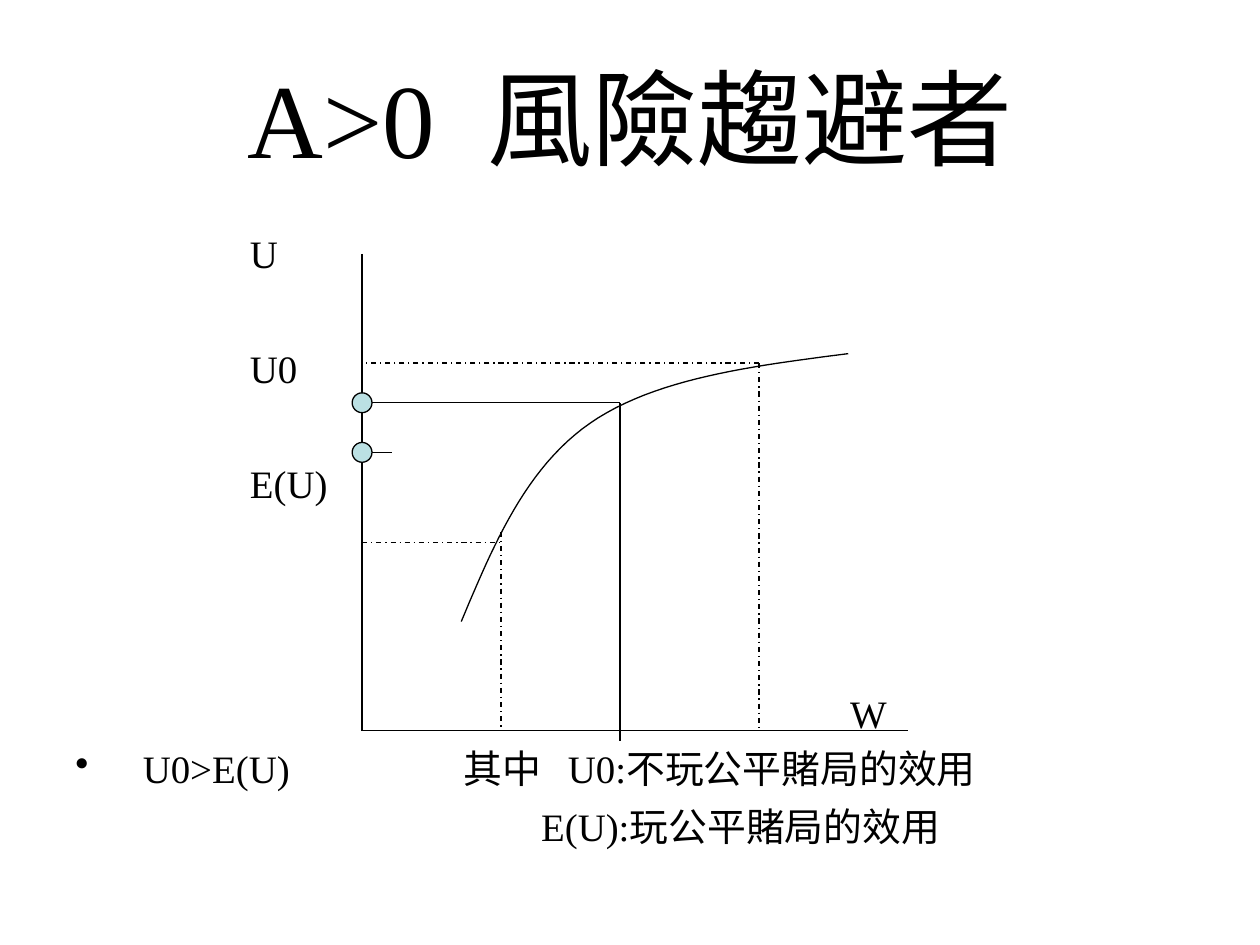
from lxml.etree import SubElement
from pptx import Presentation
from pptx.dml.color import RGBColor
from pptx.enum.dml import MSO_LINE_DASH_STYLE as Dash
from pptx.enum.shapes import MSO_CONNECTOR as Connector, MSO_SHAPE as Shape
from pptx.enum.text import MSO_ANCHOR as Anchor, PP_ALIGN as Align
from pptx.oxml.ns import qn
from pptx.util import Cm, Pt

BLACK = "000000"
DOT_FILL = "BBE0E3"
TEXT_SIZE = 22.2
AXIS_X, AXIS_Y = 7.3, 14.73
LOW_X, MEAN_X, HIGH_X = 10.1, 12.5, 15.3
LOW_Y, SURE_Y, HIGH_Y = 10.93, 8.12, 7.32
EXPECTED_Y = 9.12
DOT_SIZE = 0.4
DOT_LEFT = AXIS_X - DOT_SIZE / 2
LABEL_X, LABEL_TOP, LABEL_STEP = 5.04, 4.63, 2.32
CURVE_START = (9.3, 12.53)
CURVE_PARTS = [
    ((9.95, 10.98), (10.6, 9.43), (11.9, 8.53)),
    ((13.2, 7.63), (15.15, 7.38), (17.1, 7.13)),
]
CURVE_STEPS = 24


def colour(value):
    return RGBColor.from_string(value)


def apply_format(target, values):
    for name, value in values.items():
        setattr(target, name, value)


def format_font(para, size):
    apply_format(para.font, {"name": "Times New Roman", "size": Pt(size), "bold": False})
    para.font.color.rgb = colour(BLACK)


def format_line(line, dash=None):
    line.color.rgb = colour(BLACK)
    line.width = Pt(0.75)
    if dash:
        line.dash_style = dash


def set_title(page, text):
    title = page.shapes.title
    apply_format(title, {"left": Cm(1.27), "top": Cm(0.76), "width": Cm(22.86), "height": Cm(3.18)})
    apply_format(title.text_frame, {"text": text, "vertical_anchor": Anchor.MIDDLE, "word_wrap": True})
    para = title.text_frame.paragraphs[0]
    para.alignment = Align.CENTER
    format_font(para, 60)


def add_text_box(page, left, top, width, height):
    box = page.shapes.add_textbox(Cm(left), Cm(top), Cm(width), Cm(height))
    margins = dict.fromkeys(["margin_left", "margin_top", "margin_right", "margin_bottom"], 0)
    apply_format(box.text_frame, {"word_wrap": True, **margins})
    return box.text_frame


def add_label(page, text, left, row):
    para = add_text_box(page, left, LABEL_TOP + row * LABEL_STEP, 2.1, 0.95).paragraphs[0]
    para.text = text
    format_font(para, TEXT_SIZE)


def add_notes(page):
    frame = add_text_box(page, 1.52, 15.02, 22.3, 2.3)
    meaning = frame.paragraphs[0]
    meaning.text = "U0>E(U)\t其中\tU0:不玩公平賭局的效用"
    properties = meaning._p.get_or_add_pPr()
    apply_indent(properties, 1.36, -1.36)
    SubElement(properties, qn("a:buChar"), char="•")
    tabs = SubElement(properties, qn("a:tabLst"))
    for position in (7.83, 9.93):
        SubElement(tabs, qn("a:tab"), pos=str(Cm(position)), algn="l")
    format_font(meaning, TEXT_SIZE)

    gamble = frame.add_paragraph()
    gamble.text = "E(U):玩公平賭局的效用"
    gamble.space_before = Pt(6)
    apply_indent(gamble._p.get_or_add_pPr(), 9.39, 0)
    format_font(gamble, TEXT_SIZE)


def apply_indent(properties, margin, indent):
    properties.set("marL", str(Cm(margin)))
    properties.set("indent", str(Cm(indent)))


def add_line(page, start, end, dash=None):
    ends = [Cm(value) for value in (*start, *end)]
    line = page.shapes.add_connector(Connector.STRAIGHT, *ends)
    format_line(line.line, dash)
    SubElement(line._element.spPr, qn("a:effectLst"))


def bezier_point(points, t):
    weights = ((1 - t) ** 3, 3 * t * (1 - t) ** 2, 3 * t**2 * (1 - t), t**3)
    return tuple(Cm(sum(w * p[axis] for w, p in zip(weights, points))) for axis in (0, 1))


def add_utility_curve(page):
    start, vertices = CURVE_START, []
    for part in CURVE_PARTS:
        points = (start, *part)
        vertices += [bezier_point(points, step / CURVE_STEPS) for step in range(1, CURVE_STEPS + 1)]
        start = part[-1]
    builder = page.shapes.build_freeform(*(Cm(value) for value in CURVE_START))
    builder.add_line_segments(vertices, close=False)
    curve = builder.convert_to_shape()
    curve.shadow.inherit = False
    curve.fill.background()
    format_line(curve.line)


def add_dot(page, middle):
    dot = page.shapes.add_shape(
        Shape.OVAL, Cm(DOT_LEFT), Cm(middle - DOT_SIZE / 2), Cm(DOT_SIZE), Cm(DOT_SIZE)
    )
    dot.shadow.inherit = False
    dot.fill.solid()
    dot.fill.fore_color.rgb = colour(DOT_FILL)
    format_line(dot.line)


def main():
    deck = Presentation()
    apply_format(deck, {"slide_width": Cm(25.4), "slide_height": Cm(19.05)})
    page = deck.slides.add_slide(deck.slide_layouts[5])
    set_title(page, "A>0  風險趨避者")
    for row, text in enumerate(["U", "U0", "E(U)"]):
        add_label(page, text, LABEL_X, row)
    add_label(page, "W", 17.14, 4)
    add_notes(page)

    add_line(page, (AXIS_X, 5.12), (AXIS_X, AXIS_Y))
    add_line(page, (AXIS_X, AXIS_Y), (18.3, AXIS_Y))
    add_utility_curve(page)
    add_line(page, (LOW_X, 10.72), (LOW_X, AXIS_Y), Dash.DASH_DOT)
    add_line(page, (HIGH_X, HIGH_Y), (HIGH_X, AXIS_Y), Dash.DASH_DOT)
    add_line(page, (MEAN_X, SURE_Y), (MEAN_X, 14.93))
    add_line(page, (AXIS_X, LOW_Y), (LOW_X, LOW_Y), Dash.DASH_DOT)
    add_line(page, (MEAN_X, SURE_Y), (DOT_LEFT, SURE_Y))
    add_line(page, (HIGH_X, HIGH_Y), (AXIS_X, HIGH_Y), Dash.DASH_DOT)
    add_line(page, (DOT_LEFT, EXPECTED_Y), (7.9, EXPECTED_Y))
    for middle in (EXPECTED_Y, SURE_Y):
        add_dot(page, middle)
    deck.save("out.pptx")


if __name__ == "__main__":
    main()
